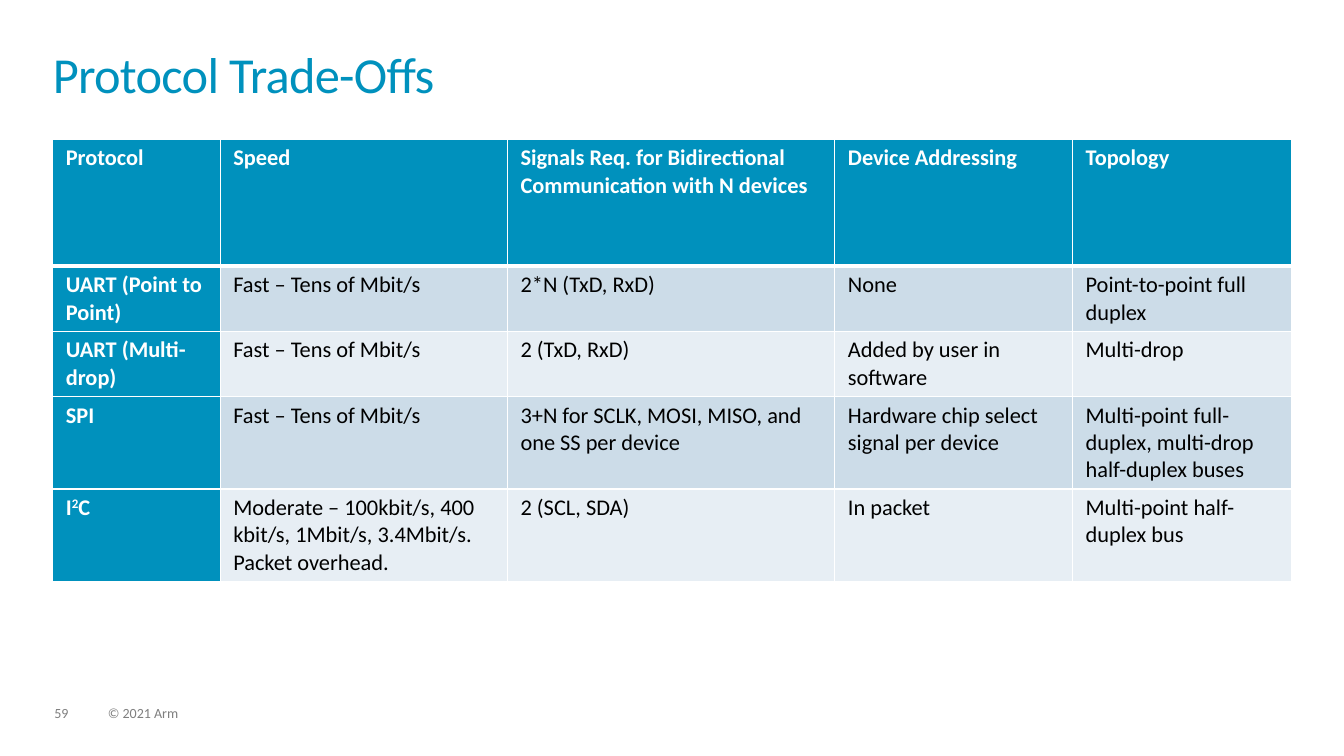
from lxml import etree
from pptx import Presentation
from pptx.dml.color import RGBColor
from pptx.enum.text import MSO_ANCHOR, MSO_AUTO_SIZE, PP_ALIGN
from pptx.oxml.ns import qn
from pptx.util import Cm, Pt

LEFT = PP_ALIGN.LEFT
TOP = MSO_ANCHOR.TOP
NO_AUTOFIT = MSO_AUTO_SIZE.NONE
TITLE_ONLY = 5

FONT = "Calibri"
BLUE, WHITE, BLACK, GREY = "0091BD", "FFFFFF", "000000", "7F7F7F"
BANDS = ("CCDCE8", "E7EEF4")

COLUMN_WIDTHS = (4.22, 7.24, 8.25, 5.99, 5.51)
ROW_HEIGHTS = (3.2, 1.63, 1.63, 2.33, 2.33)
SUPERSCRIPT_MARK = "^"  # the marked middle part of a cell is raised
PROTOCOLS = (
    ("Protocol", "Speed", "Signals Req. for Bidirectional Communication with N devices",
     "Device Addressing", "Topology"),
    ("UART (Point to Point)", "Fast – Tens of Mbit/s", "2*N (TxD, RxD)",
     "None", "Point-to-point full duplex"),
    ("UART (Multi-drop)", "Fast – Tens of Mbit/s", "2 (TxD, RxD)",
     "Added by user in software", "Multi-drop"),
    ("SPI", "Fast – Tens of Mbit/s", "3+N for SCLK, MOSI, MISO, and one SS per device",
     "Hardware chip select signal per device",
     "Multi-point full-duplex, multi-drop half-duplex buses"),
    ("I^2^C", "Moderate – 100kbit/s, 400 kbit/s, 1Mbit/s, 3.4Mbit/s. Packet overhead.",
     "2 (SCL, SDA)", "In packet", "Multi-point half-duplex bus"),
)


def color(value):
    return RGBColor.from_string(value)


def format_paragraph(paragraph, size, text_color, bold=False):
    paragraph.alignment = LEFT
    font = paragraph.font
    font.name, font.size, font.bold = FONT, Pt(size), bold
    font.color.rgb = color(text_color)


def clear_frame(text_frame):
    """Remove insets and autofit, and wrap from the top."""
    text_frame.margin_left = text_frame.margin_right = 0
    text_frame.margin_top = text_frame.margin_bottom = 0
    text_frame.word_wrap = True
    text_frame.auto_size = NO_AUTOFIT
    text_frame.vertical_anchor = TOP


def set_title(slide, text):
    title = slide.shapes.title
    title.left, title.top, title.width, title.height = Cm(1.33), Cm(1.33), Cm(31.2), Cm(1.83)
    clear_frame(title.text_frame)
    paragraph = title.text_frame.paragraphs[0]
    run = paragraph.add_run()
    run.text = text
    run._r.get_or_add_rPr().set("spc", "-50")
    paragraph.line_spacing = 0.85
    format_paragraph(paragraph, 36, BLUE)


def add_footer(slide, text, left, width):
    box = slide.shapes.add_textbox(Cm(left), Cm(17.8), Cm(width), Cm(0.39))
    clear_frame(box.text_frame)
    paragraph = box.text_frame.paragraphs[0]
    paragraph.text = text
    paragraph.line_spacing = 0.9
    format_paragraph(paragraph, 10, GREY)


def add_border(cell, side, width):
    line = etree.SubElement(cell._tc.get_or_add_tcPr(), qn(f"a:ln{side}"), w=str(Pt(width)))
    fill = etree.SubElement(line, qn("a:solidFill"))
    etree.SubElement(fill, qn("a:srgbClr"), val=WHITE)


def fill_cell(cell, text, row, column):
    is_heading = row == 0 or column == 0
    # Borders come before the fill in the cell properties
    thick_sides = {0: "B", 1: "T"}
    for side in "LRTB":
        add_border(cell, side, 3 if thick_sides.get(row) == side else 1)
    cell.fill.solid()
    cell.fill.fore_color.rgb = color(BLUE if is_heading else BANDS[(row - 1) % 2])
    cell.margin_left = cell.margin_right = Cm(0.33)
    cell.margin_top = cell.margin_bottom = Cm(0.13)
    cell.vertical_anchor = TOP

    paragraph = cell.text_frame.paragraphs[0]
    for index, part in enumerate(text.split(SUPERSCRIPT_MARK)):
        run = paragraph.add_run()
        run.text = part
        if index == 1:
            run._r.get_or_add_rPr().set("baseline", "30000")
    format_paragraph(paragraph, 16, WHITE if is_heading else BLACK, is_heading)


def add_protocol_table(slide):
    frame = slide.shapes.add_table(
        len(PROTOCOLS), len(COLUMN_WIDTHS), Cm(1.33), Cm(3.51),
        Cm(sum(COLUMN_WIDTHS)), Cm(sum(ROW_HEIGHTS)))
    table = frame.table
    for column, width in zip(table.columns, COLUMN_WIDTHS):
        column.width = Cm(width)
    for row, height in zip(table.rows, ROW_HEIGHTS):
        row.height = Cm(height)
    for row, texts in enumerate(PROTOCOLS):
        for column, text in enumerate(texts):
            fill_cell(table.cell(row, column), text, row, column)


def main():
    presentation = Presentation()
    presentation.slide_width, presentation.slide_height = Cm(33.87), Cm(19.05)
    slide = presentation.slides.add_slide(presentation.slide_layouts[TITLE_ONLY])

    set_title(slide, "Protocol Trade-Offs")
    add_protocol_table(slide)

    # Page number and copyright line
    add_footer(slide, "59", 1.37, 0.86)
    add_footer(slide, "© 2021 Arm", 2.72, 12.88)

    presentation.save("out.pptx")


if __name__ == "__main__":
    main()
